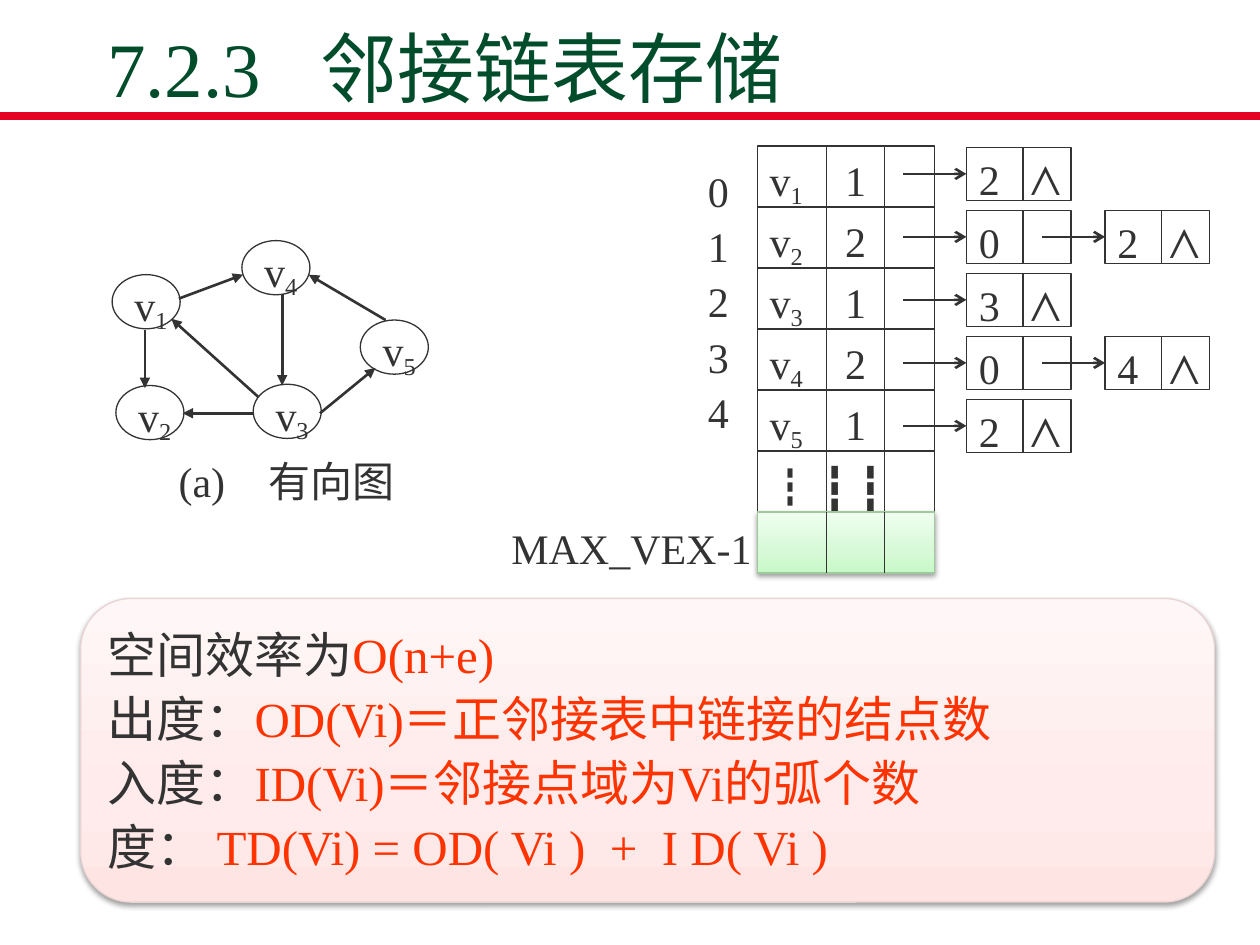
from lxml import etree
from pptx import Presentation
from pptx.dml.color import RGBColor
from pptx.enum.shapes import MSO_CONNECTOR, MSO_SHAPE
from pptx.enum.text import MSO_ANCHOR, MSO_AUTO_SIZE, PP_ALIGN
from pptx.oxml.ns import qn
from pptx.util import Inches, Pt

STRAIGHT = MSO_CONNECTOR.STRAIGHT
RECT, ROUND, OVAL = MSO_SHAPE.RECTANGLE, MSO_SHAPE.ROUNDED_RECTANGLE, MSO_SHAPE.OVAL
MIDDLE, TOP, BOTTOM = MSO_ANCHOR.MIDDLE, MSO_ANCHOR.TOP, MSO_ANCHOR.BOTTOM
LEFT, NO_FIT = PP_ALIGN.LEFT, MSO_AUTO_SIZE.NONE

INK = RGBColor(0x33, 0x33, 0x33)
GREEN = RGBColor(0x00, 0x4C, 0x2B)
RED = RGBColor(0xE6, 0x02, 0x23)
ORANGE = RGBColor(0xFF, 0x33, 0x00)
BLACK = RGBColor(0, 0, 0)
MINT_EDGE, MINT = RGBColor(0x9D, 0xC9, 0x9D), ("C7F8C7", "D7F9D7", "EFFEEF")
PINK_EDGE, PINK = RGBColor(0xE9, 0xD3, 0xD3), ("FFE4E4", "FFEBEB", "FFF7F7")
SERIF, SANS = "Times New Roman", "Noto Sans CJK SC"

# Content
TITLE = "7.2.3\t邻接链表存储"
CAPTION = "(a)\t有向图"
INDEXES = ["0", "1", "2", "3", "4"]
LAST_INDEX = "MAX_VEX-1"
DEGREES = [1, 2, 1, 2, 1]
CHAINS = [[2], [0, 2], [3], [0, 4], [2]]
VERTICES = [(1, 0.89, 2.18), (2, 0.92, 3.06), (3, 2.01, 3.05),
            (4, 1.92, 1.91), (5, 2.86, 2.54)]
ARCS = [(1.15, 2.62, 1.15, 3.08), (2.24, 2.33, 2.24, 3.06),
        (2.05, 3.15, 1.36, 2.53), (1.42, 2.37, 1.93, 2.18),
        (2.02, 3.28, 1.45, 3.28), (3.06, 2.54, 2.45, 2.18),
        (2.54, 3.28, 2.98, 2.92)]
FACTS = [("空间效率为", "O(n+e)"),
         ("出度：", "OD(Vi)＝正邻接表中链接的结点数"),
         ("入度：", "ID(Vi)＝邻接点域为Vi的弧个数"),
         ("度：", " TD(Vi) = OD( Vi )  +  I D( Vi )")]

# Grid of the vertex table and the linked nodes
TABLE_X, TABLE_Y, TABLE_W, ROW_H = 6.01, 1.16, 1.41, 0.484
FIELD_XS = (6.56, 7.02)
NODE_X, NODE_Y, NODE_W, NODE_H = 7.67, 1.17, 0.83, 0.42
NODE_DX, NODE_DY, NODE_SPLIT, LINK = 1.1, 0.5, 0.45, 0.5

prs = Presentation()
prs.slide_width, prs.slide_height = Inches(10), Inches(7.5)
s = prs.slides.add_slide(prs.slide_layouts[5])


def add_run(p, text, size=24, color=INK, font=SERIF, asian=SERIF, sub=False):
    r = p.add_run()
    r.text = text
    r.font.size, r.font.name = Pt(size), font
    r.font.color.rgb = color
    etree.SubElement(r._r.rPr, qn("a:ea"), typeface=asian)
    if sub:
        r._r.rPr.set("baseline", "-20000")


def set_tab(p, inches):
    tabs = etree.SubElement(p._p.get_or_add_pPr(), qn("a:tabLst"))
    etree.SubElement(tabs, qn("a:tab"), pos=str(Inches(inches)), algn="l")


def write(sp, runs, tab=None):
    """Fill one unwrapped paragraph; each run is a text and its options."""
    tf = sp.text_frame
    tf.word_wrap, tf.vertical_anchor = False, MIDDLE
    p = tf.paragraphs[0]
    p.alignment, p.line_spacing = LEFT, 1.2
    if tab:
        set_tab(p, tab)
    for text, options in runs:
        add_run(p, text, **options)


def add_box(kind, x, y, w, h, edge=INK):
    sp = s.shapes.add_shape(kind, Inches(x), Inches(y), Inches(w), Inches(h))
    sp.shadow.inherit = False
    sp.fill.background()
    sp.line.color.rgb, sp.line.width = edge, Pt(0.75)
    return sp


def add_text_box(x, y, w, h):
    return s.shapes.add_textbox(Inches(x), Inches(y), Inches(w), Inches(h))


def add_line(x1, y1, x2, y2, color=INK, width=0.75, head=None):
    c = s.shapes.add_connector(STRAIGHT, Inches(x1), Inches(y1), Inches(x2), Inches(y2))
    c.line.color.rgb, c.line.width = color, Pt(width)
    if head:
        etree.SubElement(c.line._get_or_add_ln(), qn("a:tailEnd"), type=head)
    etree.SubElement(c._element.spPr, qn("a:effectLst"))


def shade(sp, colors):
    """Upward three-stop gradient with a soft shadow below."""
    sp.fill.gradient()
    sp.fill.gradient_angle = 90
    stops = sp._element.spPr.find(qn("a:gradFill")).find(qn("a:gsLst"))
    for gs in list(stops):
        stops.remove(gs)
    for pos, color in zip((0, 35000, 100000), colors):
        gs = etree.SubElement(stops, qn("a:gs"), pos=str(pos))
        etree.SubElement(gs, qn("a:srgbClr"), val=color)
    effects = sp._element.spPr.find(qn("a:effectLst"))
    shadow = etree.SubElement(effects, qn("a:outerShdw"), blurRad=str(Pt(3.1)),
                              dist=str(Pt(1.6)), dir="5400000", rotWithShape="0")
    black = etree.SubElement(shadow, qn("a:srgbClr"), val=str(BLACK))
    etree.SubElement(black, qn("a:alpha"), val="38000")


# Title and rule
add_line(0, 0.92, 10, 0.92, RED, 4.5)
title = s.shapes.title
title.left, title.top = Inches(0.75), Inches(0.26)
title.width, title.height = Inches(8.5), Inches(0.65)
tf = title.text_frame
tf.auto_size, tf.vertical_anchor = NO_FIT, BOTTOM
tf.margin_bottom = Inches(0.01)
tf.paragraphs[0].alignment = LEFT
set_tab(tf.paragraphs[0], 1.69)
add_run(tf.paragraphs[0], TITLE, 44, GREEN, asian=SANS)

# Vertex table: five vertices, a row of dots and the last slot
vertex_rows = [[("v", {}), (str(i), {"sub": True}), (f"\t{degree}", {})]
               for i, degree in enumerate(DEGREES, 1)]
dots = [("┇", {"font": SANS, "asian": SANS}), (" ┇ ┇", {})]
for i, runs in enumerate(vertex_rows + [dots, []]):
    y = TABLE_Y + i * ROW_H
    sp = add_box(RECT, TABLE_X, y, TABLE_W, ROW_H, INK if runs else MINT_EDGE)
    if runs:
        write(sp, runs, tab=0.6)
    else:
        shade(sp, MINT)
    for x in FIELD_XS:
        add_line(x, y, x, y + ROW_H)

# Row numbers
tf = add_text_box(5.52, 1.15, 0.41, 2.44).text_frame
tf.word_wrap, tf.vertical_anchor = False, MIDDLE
for i, index in enumerate(INDEXES):
    p = tf.add_paragraph() if i else tf.paragraphs[0]
    p.line_spacing = 1.1
    add_run(p, index)
write(add_text_box(3.96, 4.1, 2.2, 0.42), [(LAST_INDEX, {})])

# Linked nodes
for row, chain in enumerate(CHAINS):
    for col, key in enumerate(chain):
        x, y = NODE_X + col * NODE_DX, NODE_Y + row * NODE_DY
        is_last = col == len(chain) - 1
        write(add_box(RECT, x, y, NODE_W, NODE_H),
              [(f"{key}\t⋀" if is_last else str(key), {})], tab=0.41)
        add_line(x + NODE_SPLIT, y, x + NODE_SPLIT, y + NODE_H)
        add_line(x - LINK, y + NODE_H / 2, x, y + NODE_H / 2, width=1.5, head="arrow")

# Directed graph
write(add_text_box(1.32, 3.58, 2.2, 0.39), [(CAPTION, {"asian": SANS})], tab=0.71)
for number, x, y in VERTICES:
    write(add_box(OVAL, x, y, 0.54, 0.43), [("v", {}), (str(number), {"sub": True})])
for arc in ARCS:
    add_line(*arc, width=1.5, head="triangle")

# Summary panel
panel = add_box(ROUND, 0.64, 4.75, 9, 2.41, PINK_EDGE)
shade(panel, PINK)
tf = panel.text_frame
tf.word_wrap, tf.vertical_anchor = True, TOP
for i, (label, value) in enumerate(FACTS):
    p = tf.add_paragraph() if i else tf.paragraphs[0]
    p.alignment, p.line_spacing = LEFT, Pt(36.5)
    add_run(p, label, 28, asian=SANS)
    add_run(p, value, 28, ORANGE, asian=SANS)

prs.save("out.pptx")
